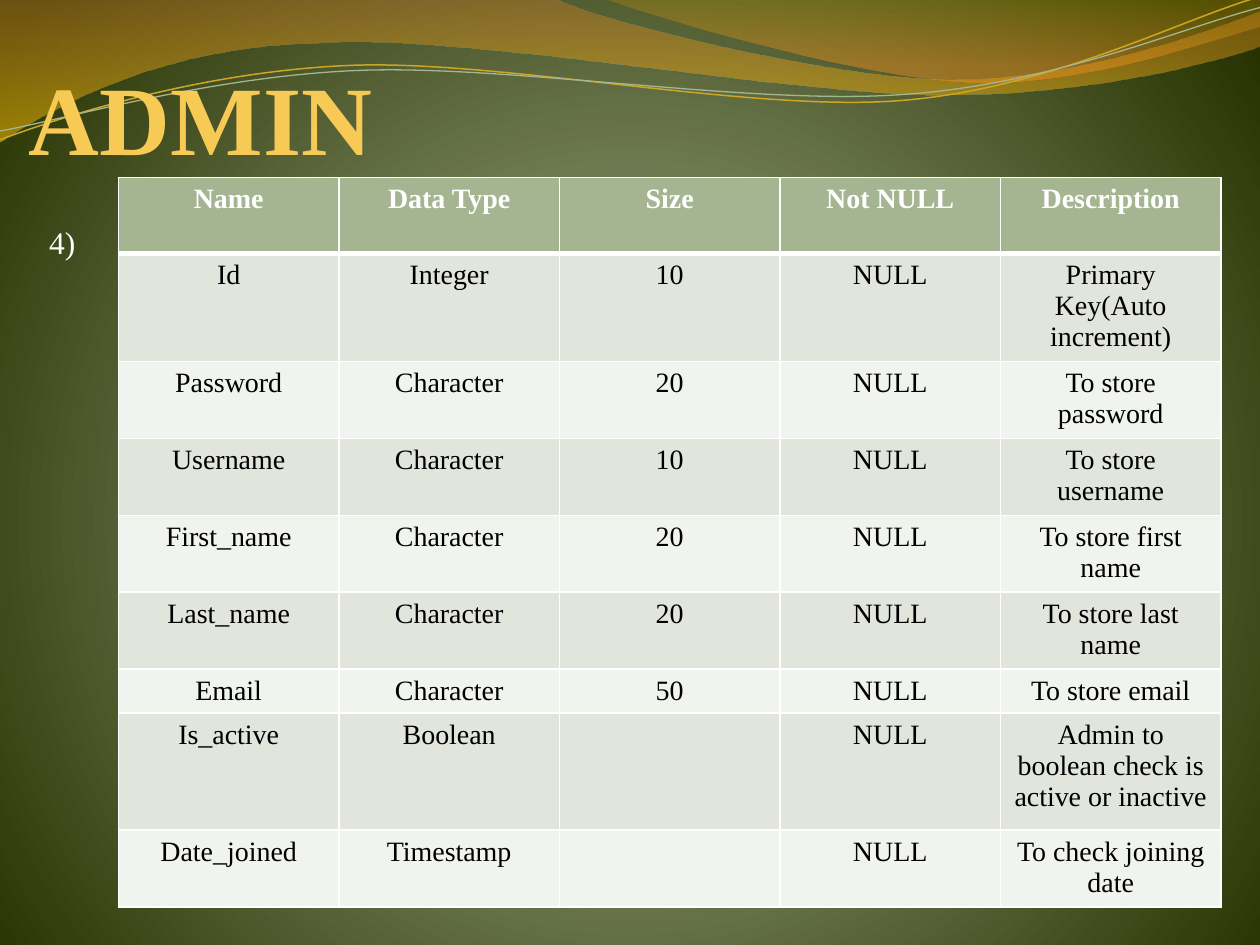
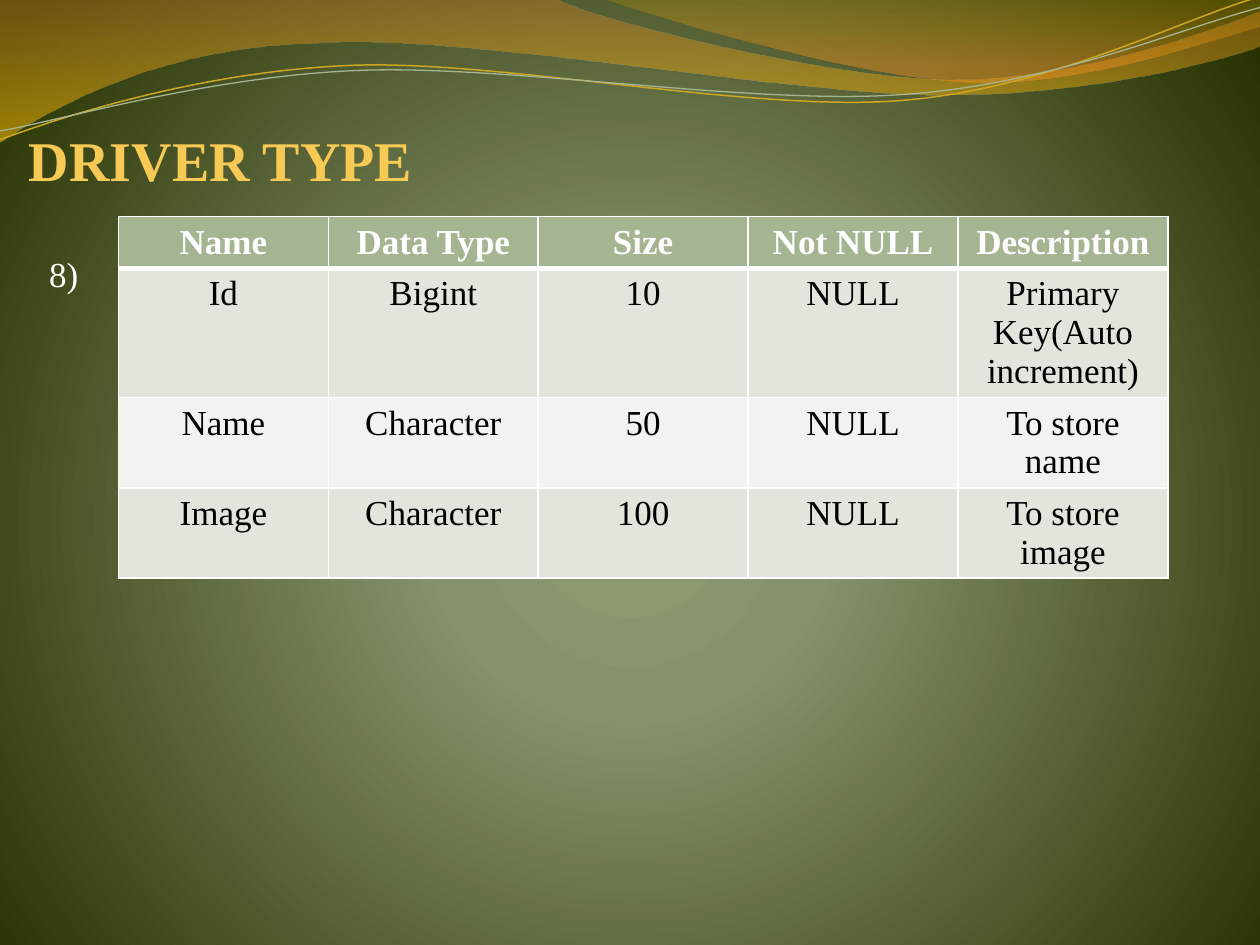
"""Build two slides of database table layouts on a shared wavy master."""
from pptx import Presentation
from pptx.dml.color import RGBColor
from pptx.enum.text import MSO_ANCHOR, MSO_AUTO_SIZE, PP_ALIGN
from pptx.oxml import parse_xml
from pptx.oxml.ns import nsdecls
from pptx.util import Inches, Pt

LEFT, CENTER = PP_ALIGN.LEFT, PP_ALIGN.CENTER
TOP, BOTTOM = MSO_ANCHOR.TOP, MSO_ANCHOR.BOTTOM
NO_FIT = MSO_AUTO_SIZE.NONE

FONT = "Times New Roman"
WHITE = RGBColor(0xFF, 0xFF, 0xFF)
BLACK = RGBColor(0x00, 0x00, 0x00)
GOLD = RGBColor(0xF7, 0xCA, 0x56)
SAGE = RGBColor(0xA5, 0xB5, 0x92)
DARK_ROW = RGBColor(0xE1, 0xE5, 0xDC)
LIGHT_ROW = RGBColor(0xF0, 0xF3, 0xEE)
MOSS = RGBColor(0x8F, 0x9B, 0x72)
OLIVE = RGBColor(0x86, 0x92, 0x6C)
FOREST = RGBColor(0x27, 0x32, 0x00)
COPPER = RGBColor(0xC0, 0x7A, 0x28)
YELLOW = RGBColor(0xF7, 0xBF, 0x00)
BRONZE = RGBColor(0xC0, 0x97, 0x09)
ORANGE = RGBColor(0xF5, 0x93, 0x20)
OCHRE = RGBColor(0xCC, 0xA6, 0x24)

GLOW = ('<a:path path="circle"><a:fillToRect l="10000" t="110000" '
        'r="10000" b="100000"/></a:path>')
DOWN = '<a:lin ang="5400000" scaled="0"/>'
BACK_STOPS = [(0, MOSS, 100), (25, OLIVE, 100), (100, FOREST, 100)]

BANDS = [
    ([(0, 0), (4.4, -0.01),
      (4.76, 0.17, 6.64, 0.63, 7.58, 0.63),
      (8.53, 0.63, 9.58, 0.26, 10, 0.09), (10.01, 0.36),
      (9.83, 0.44, 8.7, 0.76, 7.46, 0.75),
      (6.22, 0.75, 3.82, 0.28, 2.57, 0.34),
      (1.29, 0.36, 0.46, 0.83, -0.01, 1.13), (0, 0)],
     [(0, COPPER, 45), (100, YELLOW, 55)]),
    ([(4.79, -0.01),
      (5.09, 0.11, 6.82, 0.62, 7.69, 0.65),
      (8.56, 0.69, 9.61, 0.32, 10, 0.21), (10, 0), (4.79, -0.01)],
     [(0, BRONZE, 30), (80, ORANGE, 45)]),
]
CURVES = [
    ([(0, 1.11),
      (0.48, 0.93, 1.58, 0.57, 2.77, 0.52),
      (3.95, 0.47, 5.93, 0.89, 7.13, 0.8),
      (8.33, 0.71, 9.38, 0.15, 9.98, -0.02)], OCHRE, 0.85),
    ([(0, 1.04),
      (0.47, 0.96, 1.64, 0.61, 2.83, 0.56),
      (4.03, 0.51, 5.97, 0.84, 7.17, 0.75),
      (8.36, 0.67, 9.41, 0.21, 10, 0.06)], SAGE, 0.75),
]

HEADS = ("Name", "Data Type", "Size", "Not NULL", "Description")
KEY_NOTE = "Primary Key(Auto increment)"
ADMIN = [
    ("Id", "Integer", "10", KEY_NOTE),
    ("Password", "Character", "20", "To store password"),
    ("Username", "Character", "10", "To store username"),
    ("First_name", "Character", "20", "To store first name"),
    ("Last_name", "Character", "20", "To store last name"),
    ("Email", "Character", "50", "To store email"),
    ("Is_active", "Boolean", "",
     "Admin to boolean check is active or inactive"),
    ("Date_joined", "Timestamp", "", "To check joining date"),
]
ADMIN_ROWS = [0.6, 0.86, 0.61, 0.61, 0.61, 0.61, 0.35, 0.93, 0.61]
DRIVER = [
    ("Id", "Bigint", "10", KEY_NOTE),
    ("Name", "Character", "50", "To store name"),
    ("Image", "Character", "100", "To store image"),
]


def paint(hole, stops, shade):
    """Put a gradient in the place of an empty fill."""
    marks = "".join(
        f'<a:gs pos="{pos * 1000}"><a:srgbClr val="{color}">'
        f'<a:alpha val="{alpha * 1000}"/></a:srgbClr></a:gs>'
        for pos, color, alpha in stops)
    grad = parse_xml(f'<a:gradFill {nsdecls("a")} rotWithShape="1">'
                     f'<a:gsLst>{marks}</a:gsLst>{shade}</a:gradFill>')
    hole.getparent().replace(hole, grad)


def bend(wave, parts):
    """Turn the straight steps of a wave into its curves."""
    for step, part in zip(wave.element.xpath(".//a:lnTo"), parts[1:]):
        if len(part) == 6:
            points = "".join(
                f'<a:pt x="{Inches(x) - wave.left}" y="{Inches(y) - wave.top}"/>'
                for x, y in zip(part[::2], part[1::2]))
            step.getparent().replace(step, parse_xml(
                f'<a:cubicBezTo {nsdecls("a")}>{points}</a:cubicBezTo>'))


def add_wave(slide, master, parts, close, ident):
    """Draw one wave and move it to the master."""
    first, *rest = [tuple(map(Inches, part[-2:])) for part in parts]
    pen = slide.shapes.build_freeform(*first)
    pen.add_line_segments(rest, close=close)
    wave = pen.convert_to_shape()
    bend(wave, parts)
    wave.shadow.inherit = False
    wave.fill.background()
    wave.element.nvSpPr.cNvPr.id = ident
    master.shapes.element.append(wave.element)
    return wave


def dress(master, slide):
    """Give the master its glow, bands and curves."""
    master.background.fill.background()
    paint(master.element.xpath(".//p:bgPr/a:noFill")[0], BACK_STOPS, GLOW)
    for ident, (parts, stops) in enumerate(BANDS, 21):
        band = add_wave(slide, master, parts, True, ident)
        band.line.fill.background()
        paint(band.element.xpath("./p:spPr/a:noFill")[0], stops, DOWN)
    for ident, (parts, color, width) in enumerate(CURVES, 31):
        curve = add_wave(slide, master, parts, False, ident)
        curve.line.color.rgb = color
        curve.line.width = Pt(width)


def style(para, size, color, bold, align):
    """Format a paragraph and its runs."""
    para.alignment = align
    for run in para.runs:
        run.font.name = FONT
        run.font.size = Pt(size)
        run.font.bold = bold
        run.font.color.rgb = color


def fill_holder(holder, text, box, size, color, bold, anchor, pad):
    """Place, fill and format a placeholder."""
    holder.left, holder.top, holder.width, holder.height = map(Inches, box)
    frame = holder.text_frame
    frame.text = text
    frame.auto_size = NO_FIT
    frame.vertical_anchor = anchor
    frame.margin_left, frame.margin_right = 0, Inches(0.02)
    frame.margin_top = frame.margin_bottom = Inches(pad)
    style(frame.paragraphs[0], size, color, bold, LEFT)


def edge(cell, base):
    """Draw white borders round a cell."""
    for side, width in zip("LRTB", (1, 1, 1, base)):
        cell._tc.get_or_add_tcPr().append(parse_xml(
            f'<a:ln{side} {nsdecls("a")} w="{Pt(width)}"><a:solidFill>'
            f'<a:srgbClr val="{WHITE}"/></a:solidFill></a:ln{side}>'))


def add_grid(slide, fields, top, wide, heights, size):
    """Add the table that describes the fields."""
    rows = [HEADS] + [(*field[:3], "NULL", field[3]) for field in fields]
    grid = slide.shapes.add_table(
        len(rows), len(HEADS), Inches(0.94), Inches(top),
        Inches(wide), Inches(sum(heights))).table
    grid.horz_banding = False
    for i, (row, height) in enumerate(zip(rows, heights)):
        grid.rows[i].height = Inches(height)
        head = i == 0
        shade = SAGE if head else DARK_ROW if i % 2 else LIGHT_ROW
        for j, text in enumerate(row):
            cell = grid.cell(i, j)
            edge(cell, 3 if head else 1)
            cell.fill.solid()
            cell.fill.fore_color.rgb = shade
            cell.margin_left = cell.margin_right = Inches(0.09)
            cell.text_frame.text = text
            style(cell.text_frame.paragraphs[0], size,
                  WHITE if head else BLACK, head, CENTER)


def add_page(deck, title, title_box, title_size, label, label_top, label_size):
    """Add a slide with its title and number label."""
    slide = deck.slides.add_slide(deck.slide_layouts[0])
    fill_holder(slide.shapes.title, title, title_box, title_size,
                GOLD, True, BOTTOM, 0)
    fill_holder(slide.placeholders[1], label, (0.39, label_top, 8.59, 1.92),
                label_size, WHITE, False, TOP, 0.05)
    return slide


def main():
    """Build and save the deck."""
    deck = Presentation()
    deck.slide_width, deck.slide_height = Inches(10), Inches(7.5)
    admin = add_page(deck, "ADMIN", (0.23, -0.55, 8.55, 1.94), 56,
                     "4)", 1.72, 18)
    dress(deck.slide_master, admin)
    add_grid(admin, ADMIN, 1.41, 8.75, ADMIN_ROWS, 16)
    driver = add_page(deck, "DRIVER TYPE", (0.23, -0.47, 8.59, 2), 32,
                      "8)", 1.95, 20)
    add_grid(driver, DRIVER, 1.72, 8.33, [0.41] * 4, 20)
    deck.save("out.pptx")


if __name__ == "__main__":
    main()
